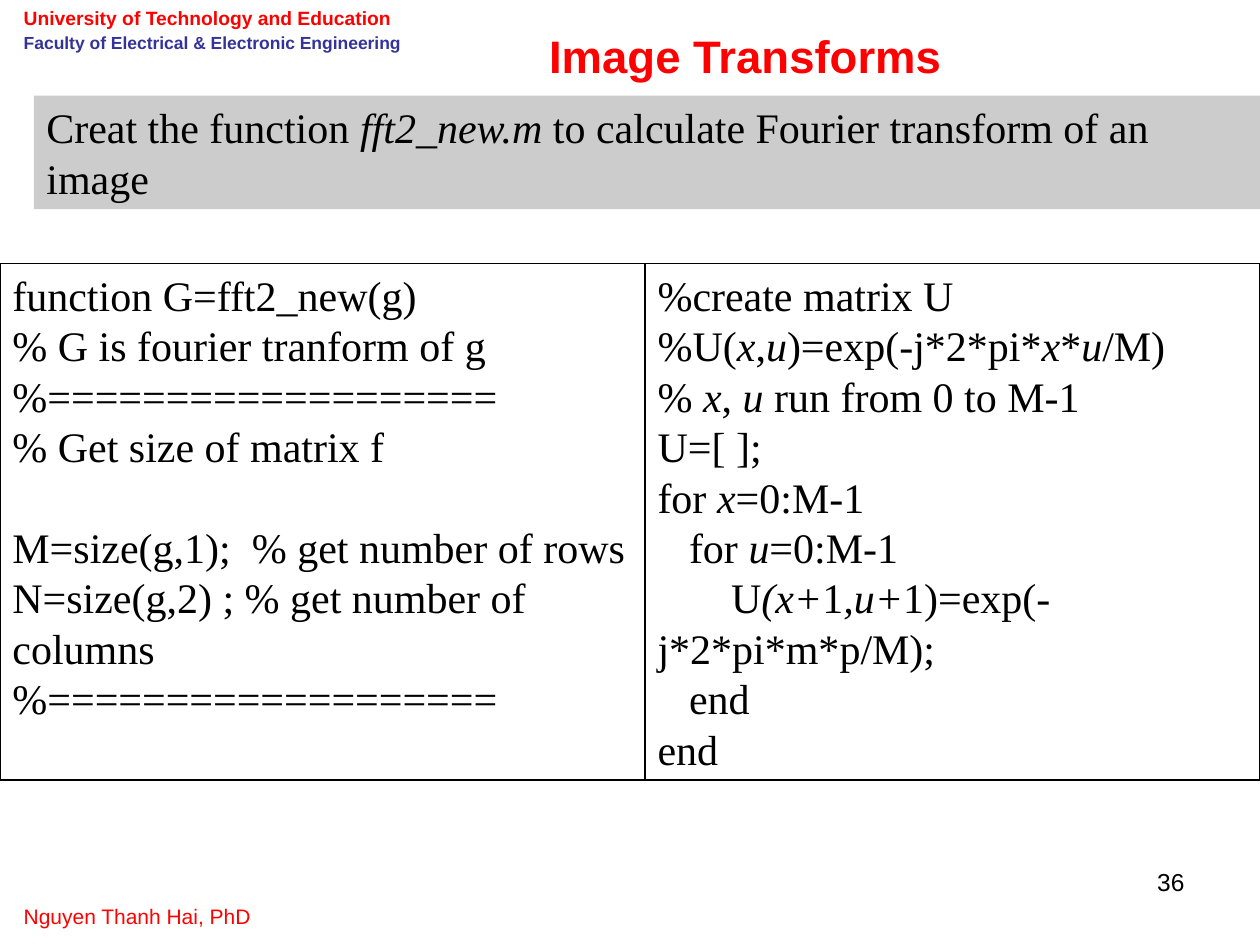
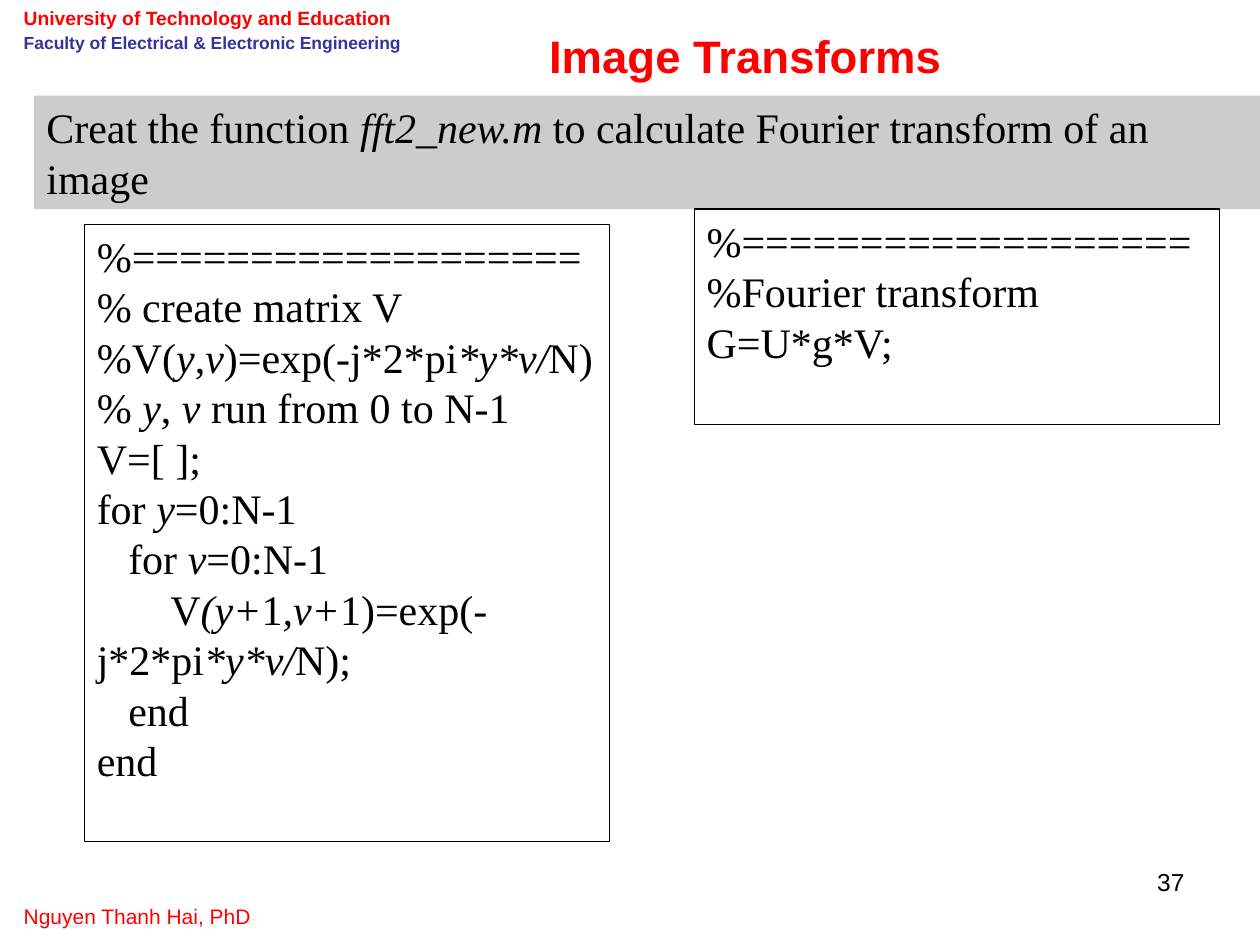
from dataclasses import dataclass

from pptx import Presentation
from pptx import util as u
from pptx.dml.color import RGBColor
from pptx.enum import shapes, text

COLORS = {
    "red": "FF0000",
    "navy": "333399",
    "black": "000000",
    "band": "CCCCCC",
}
TITLE_ONLY = 5
FIRST_NUMBER = 36
SERIF, SANS = "Times New Roman", "Arial"
CODE_SIZE = 24
SPACE_WIDTH = CODE_SIZE / 4
LINE_HEIGHT = u.Inches(0.4)
RULE = "%" + "=" * 19
TASK = "Creat the function |fft2_new.m |to calculate Fourier transform of an image"


@dataclass(frozen=True)
class Frame:
    left: float
    top: float
    width: float
    height: float

    def lengths(self) -> tuple:
        return tuple(u.Inches(v) for v in (self.left, self.top, self.width, self.height))


@dataclass(frozen=True)
class Style:
    size: float
    color: str = "black"
    font: str = SANS
    bold: bool = False
    align: text.PP_ALIGN = text.PP_ALIGN.LEFT


@dataclass(frozen=True)
class CodeBox:
    frame: Frame
    lines: tuple[str, ...]


CODE = Style(CODE_SIZE, font=SERIF)
TITLE = Style(26, "red", bold=True, align=text.PP_ALIGN.CENTER)
UNIVERSITY = Style(11, "red", bold=True)
FACULTY = Style(10, "navy", bold=True)
AUTHOR = Style(12, "red")
NUMBER = Style(14, align=text.PP_ALIGN.RIGHT)

PAGES = (
    (
        CodeBox(Frame(0, 2.09, 5.12, 4.1), (
            "function G=fft2_new(g)",
            "% G is fourier tranform of g",
            RULE,
            "% Get size of matrix f",
            "",
            "M=size(g,1);  % get number of rows",
            "N=size(g,2) ; % get number of columns",
            RULE,
        )),
        CodeBox(Frame(5.12, 2.09, 4.88, 4.1), (
            "%create matrix U",
            "%U(|x|,|u|)=exp(-j*2*pi*|x|*|u|/M)",
            "% |x|, |u| run from 0 to M-1",
            "U=[ ];",
            "for |x|=0:M-1",
            "   for |u|=0:M-1",
            "       U|(x+|1|,u+|1)=exp(-j*2*pi*m*p/M);",
            "   end",
            "end",
        )),
    ),
    (
        CodeBox(Frame(0.67, 1.78, 4.17, 4.9), (
            RULE,
            "% create matrix V",
            "%V(|y|,|v|)=exp(-j*2*pi|*y*v/|N)",
            "% |y|, |v| run from 0 to N-1",
            "V=[ ];",
            "for |y|=0:N-1",
            "   for |v|=0:N-1",
            "       V|(y+|1|,v+|1)=exp(-j*2*pi|*y*v/|N);",
            "   end",
            "end",
        )),
        CodeBox(Frame(5.51, 1.66, 4.17, 1.71), (
            RULE,
            "%Fourier transform",
            "G=U*g*V;",
        )),
    ),
)


def rgb(name: str) -> RGBColor:
    return RGBColor.from_string(COLORS[name])


def apply(target, values: dict) -> None:
    for name, value in values.items():
        setattr(target, name, value)


def write(para, line: str, style: Style) -> None:
    """Fill a paragraph; each bar in the line switches italics on or off."""
    para.alignment = style.align
    for index, piece in enumerate(line.split("|")):
        span = para.add_run()
        span.text = piece
        apply(span.font, {
            "name": style.font,
            "size": u.Pt(style.size),
            "bold": style.bold,
            "italic": index % 2 == 1,
        })
        span.font.color.rgb = rgb(style.color)


def prepare(box) -> None:
    apply(box.text_frame, {
        "word_wrap": True,
        "auto_size": text.MSO_AUTO_SIZE.NONE,
        "vertical_anchor": text.MSO_ANCHOR.TOP,
    })


def add_label(page, frame: Frame, line: str, style: Style):
    box = page.shapes.add_textbox(*frame.lengths())
    prepare(box)
    write(box.text_frame.paragraphs[0], line, style)
    return box


def add_panel(page, frame: Frame):
    box = page.shapes.add_shape(shapes.MSO_SHAPE.RECTANGLE, *frame.lengths())
    box.shadow.inherit = False
    prepare(box)
    return box


def add_title(page) -> None:
    box = page.shapes.title
    names = ("left", "top", "width", "height")
    apply(box, dict(zip(names, Frame(4.02, 0.17, 3.79, 0.53).lengths())))
    prepare(box)
    write(box.text_frame.paragraphs[0], "Image Transforms", TITLE)


def add_task_band(page) -> None:
    band = add_panel(page, Frame(0.27, 0.76, 9.73, 0.9))
    band.fill.solid()
    band.fill.fore_color.rgb = rgb("band")
    band.line.fill.background()
    write(band.text_frame.paragraphs[0], TASK, CODE)


def add_code(page, code: CodeBox) -> None:
    """Draw a listing: leading spaces become an indent, an empty line a gap."""
    box = add_panel(page, code.frame)
    box.fill.background()
    box.line.color.rgb = rgb("black")
    box.line.width = u.Pt(0.75)
    para = box.text_frame.paragraphs[0]
    gap = 0
    for index, line in enumerate(code.lines):
        if not line:
            gap += LINE_HEIGHT
            continue
        if index:
            para = box.text_frame.add_paragraph()
        content = line.lstrip()
        write(para, content, CODE)
        para.space_before = u.Emu(gap)
        indent = u.Pt(SPACE_WIDTH * (len(line) - len(content)))
        para._p.get_or_add_pPr().set("indent", str(indent))
        gap = 0


def add_header(page) -> None:
    box = add_label(page, Frame(0.09, 0, 3.5, 0.49),
                    "University of Technology and Education", UNIVERSITY)
    para = box.text_frame.add_paragraph()
    write(para, "Faculty of Electrical & Electronic Engineering", FACULTY)
    apply(para, {"line_spacing": 0.7, "space_before": u.Pt(5)})


def main() -> None:
    deck = Presentation()
    apply(deck, {"slide_width": u.Inches(10), "slide_height": u.Inches(7.5)})
    for number, listings in enumerate(PAGES, FIRST_NUMBER):
        page = deck.slides.add_slide(deck.slide_layouts[TITLE_ONLY])
        add_label(page, Frame(7.17, 6.83, 2.33, 0.52), str(number), NUMBER)
        add_label(page, Frame(0.09, 7.12, 2.33, 0.3), "Nguyen Thanh Hai, PhD", AUTHOR)
        add_title(page)
        add_task_band(page)
        for listing in listings:
            add_code(page, listing)
        add_header(page)
    deck.save("out.pptx")


if __name__ == "__main__":
    main()
